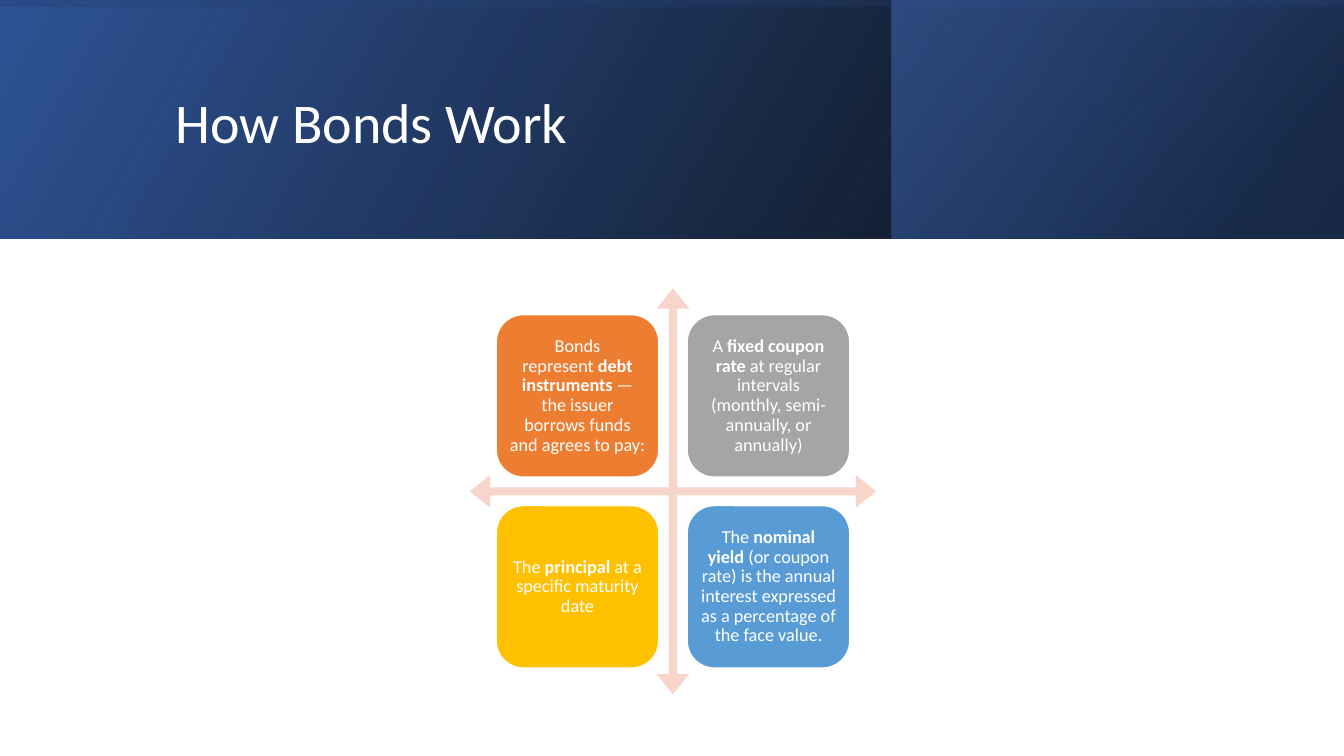
from dataclasses import dataclass

from lxml import etree
from pptx import Presentation
from pptx.dml.color import RGBColor
from pptx.enum.shapes import MSO_SHAPE
from pptx.enum.text import MSO_ANCHOR, PP_ALIGN
from pptx.oxml.ns import qn
from pptx.util import Inches, Pt


@dataclass(frozen=True)
class Theme:
    font: str = "Calibri"
    white: str = "FFFFFF"
    arrow: str = "F7D5CB"
    title: int = 40
    body: int = 13


THEME = Theme()
WIDE, HIGH = 13.33, 7.5
BAND = 2.37    # height of the header band
SIDE = 8.84    # left edge of the header's right panel

# Gradient stops: position %, colour, opacity %
BASE = [(0, "000000", 96), (100, "2F5496", 100)]
PANEL = [(0, "1F3864", 68), (19, "1F3864", 68), (100, "4472C4", 48)]
SHADE = [(0, "2F5496", 16), (23, "2F5496", 16), (99, "000000", 45), (100, "000000", 45)]

# Tiles in reading order: fill, then text before, in and after bold.
# A tilde marks a space at which the line must not break.
TILES = [
    ("ED7D31", "Bonds represent~", "debt instruments",
     "~— the issuer borrows funds and agrees to pay:"),
    ("A5A5A5", "A~", "fixed coupon rate",
     "~at regular intervals (monthly, semi-annually, or annually)"),
    ("FFC000", "The~", "principal", "~at a specific maturity date"),
    ("599BD5", "The~", "nominal yield",
     "~(or coupon rate) is the annual interest expressed as a percentage of the face value."),
]


def rgb(code):
    return RGBColor.from_string(code)


def add_box(slide, kind, box, fill=None):
    shape = slide.shapes.add_shape(kind, *map(Inches, box))
    shape.shadow.inherit = False
    shape.line.fill.background()
    if fill:
        shape.fill.solid()
        shape.fill.fore_color.rgb = rgb(fill)
    return shape


def set_text(frame, parts, size, align, pads):
    """Write (text, bold) parts as one centred-in-height paragraph."""
    frame.word_wrap = True
    frame.vertical_anchor = MSO_ANCHOR.MIDDLE
    frame.margin_left, frame.margin_top, frame.margin_right, frame.margin_bottom = map(Inches, pads)
    para = frame.paragraphs[0]
    para.alignment = align
    para.line_spacing = 0.9
    para.font.name = THEME.font
    para.font.size = Pt(size)
    para.font.color.rgb = rgb(THEME.white)
    for text, bold in parts:
        run = para.add_run()
        run.text = text.replace("~", chr(160))
        if bold:
            run.font.bold = True


def add_fade(slide, box, stops, angle, turn=0):
    """Mirrored rectangle with a see-through linear gradient."""
    shape = add_box(slide, MSO_SHAPE.RECTANGLE, box, THEME.white)
    shape.rotation = turn
    props = shape.element.spPr
    props.find(qn("a:xfrm")).set("flipH", "1")
    grad = etree.Element(qn("a:gradFill"), rotWithShape="1")
    items = etree.SubElement(grad, qn("a:gsLst"))
    for place, code, alpha in stops:
        stop = etree.SubElement(items, qn("a:gs"), pos=str(place * 1000))
        tint = etree.SubElement(stop, qn("a:srgbClr"), val=code)
        etree.SubElement(tint, qn("a:alpha"), val=str(alpha * 1000))
    etree.SubElement(grad, qn("a:lin"), ang=str(angle * 60000), scaled="0")
    props.replace(props.find(qn("a:solidFill")), grad)


def add_head(slide, box):
    left, top, width, height = box
    add_fade(slide, box, BASE, 330)
    add_fade(slide, (SIDE, top, left + width - SIDE, height), PANEL, 320)
    # Upright strip, turned to lie over the whole band
    shift = (width - height) / 2
    add_fade(slide, (left + shift, top - shift, height, width), SHADE, 350, 270)
    # Title
    label = slide.shapes.add_textbox(*map(Inches, (left + 1.51, top + 0.38, 10.63, 1.72)))
    set_text(label.text_frame, [("How Bonds Work", False)], THEME.title,
             PP_ALIGN.LEFT, (0.23, 0.05, 0.1, 0.05))


def add_matrix(slide, box):
    left, top, size, _ = box
    # Crossed arrows
    cross = add_box(slide, MSO_SHAPE.QUAD_ARROW, box, THEME.arrow)
    for index, value in enumerate((0.02, 0.04, 0.05)):
        cross.adjustments[index] = value
    # Two by two tiles
    tile, edge = size * 0.4, size * 0.065
    step = size - 2 * edge - tile
    for index, (fill, before, strong, after) in enumerate(TILES):
        row, col = divmod(index, 2)
        place = (left + edge + col * step, top + edge + row * step, tile, tile)
        shape = add_box(slide, MSO_SHAPE.ROUNDED_RECTANGLE, place, fill)
        shape.adjustments[0] = 0.167
        shape.line.color.rgb = rgb(THEME.white)
        shape.line.width = Pt(1)
        set_text(shape.text_frame, [(before, False), (strong, True), (after, False)],
                 THEME.body, PP_ALIGN.CENTER, (0.05,) * 4)


def main():
    deck = Presentation()
    deck.slide_width, deck.slide_height = Inches(WIDE), Inches(HIGH)
    slide = deck.slides.add_slide(deck.slide_layouts[6])
    add_head(slide, (0, 0, WIDE, BAND))
    add_matrix(slide, (4.66, 2.86, 4.03, 4.03))
    deck.save("out.pptx")


if __name__ == "__main__":
    main()
